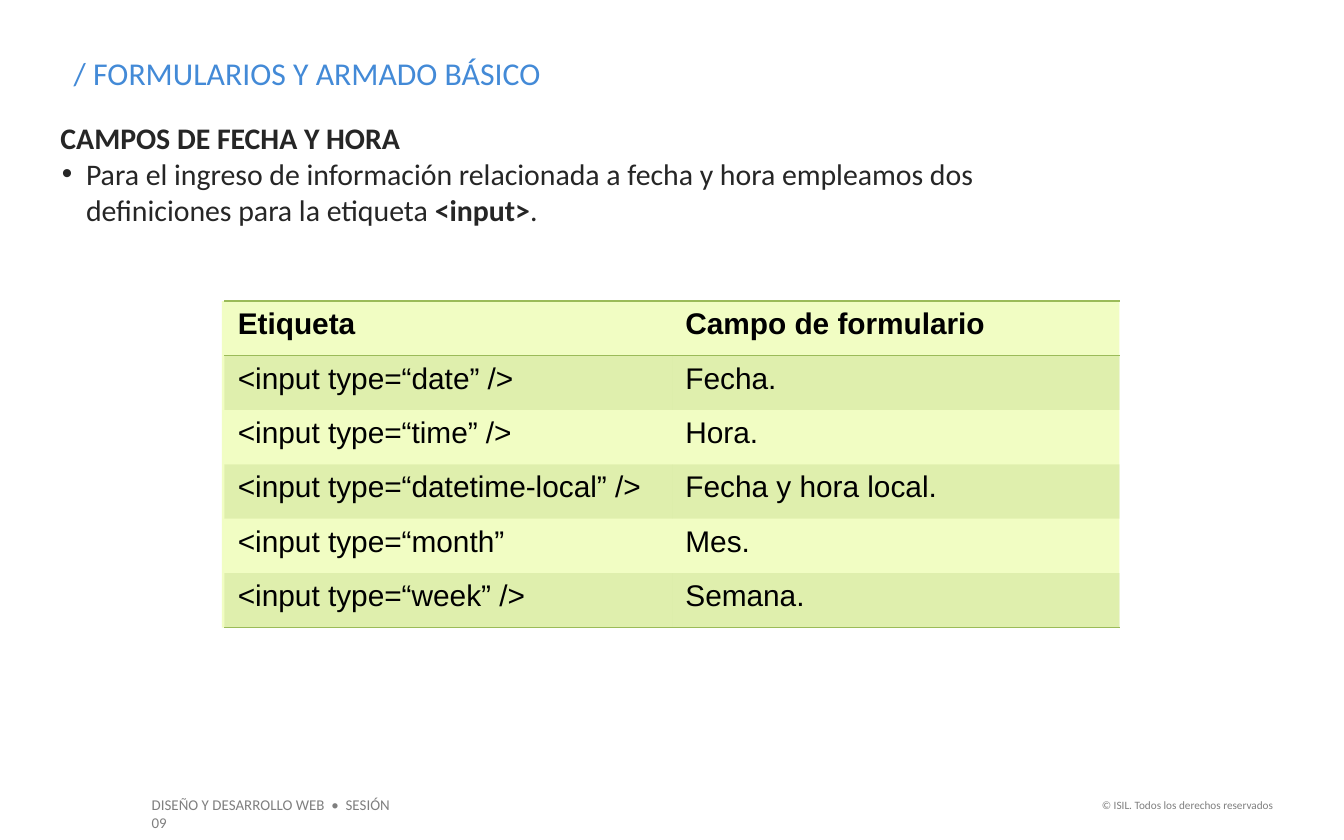
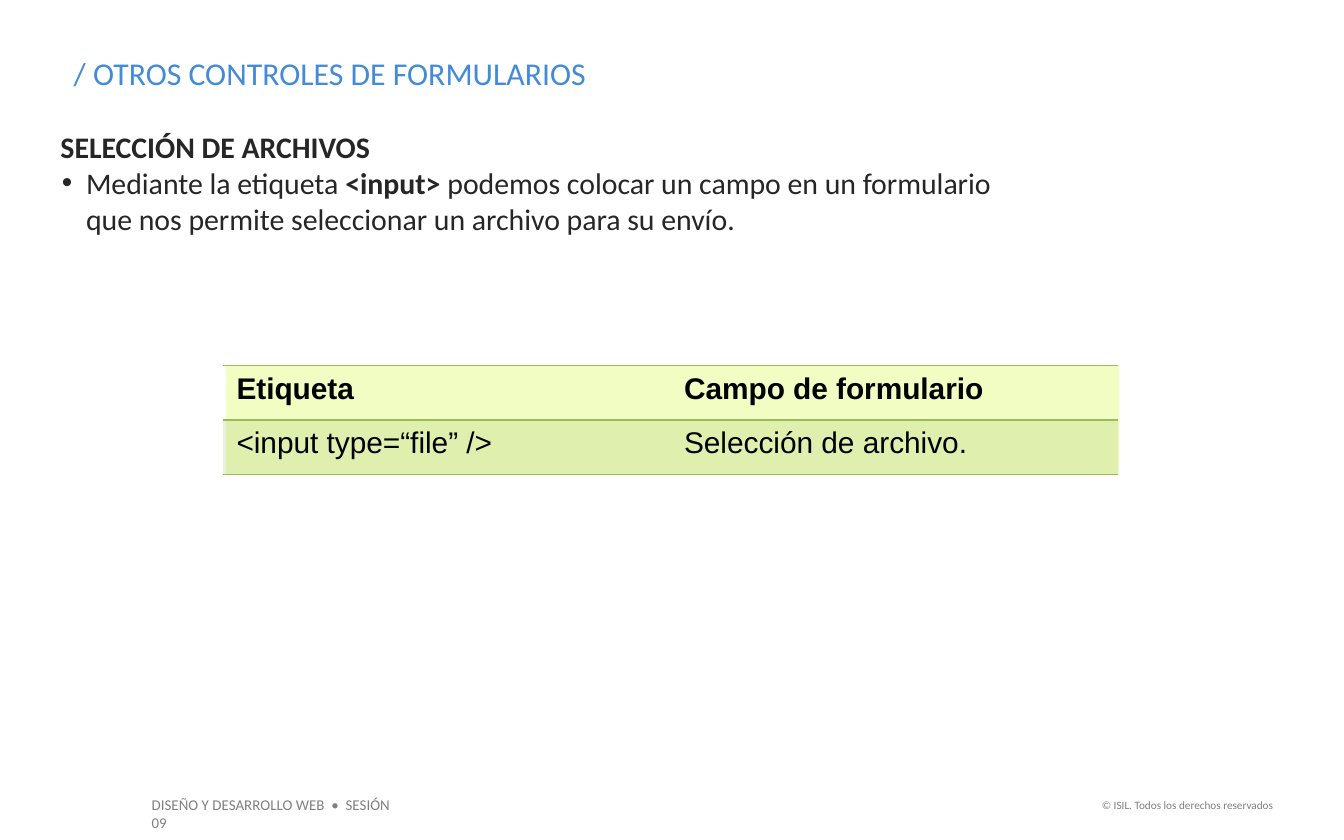
import pptx
import pptx.dml.color
import pptx.enum.shapes
import pptx.enum.text
import pptx.oxml.ns
import pptx.util
from lxml import etree

Inches = pptx.util.Inches
Pt = pptx.util.Pt
RGBColor = pptx.dml.color.RGBColor
ALIGN = pptx.enum.text.PP_ALIGN
qn = pptx.oxml.ns.qn

BLUE = RGBColor(0x43, 0x8A, 0xD7)
DARK = RGBColor(0x26, 0x26, 0x26)
GRAY = RGBColor(0x7F, 0x7F, 0x7F)
BLACK = RGBColor(0, 0, 0)
LIME = RGBColor(0xF1, 0xFD, 0xC3)
OLIVE = RGBColor(0x9B, 0xBB, 0x59)

FOOTER = "DISEÑO Y DESARROLLO WEB  •  SESIÓN 09"
COPYRIGHT = "© ISIL. Todos los derechos reservados"
HEADER = ("Etiqueta", "Campo de formulario")
COLUMN_WIDTH, ROW_HEIGHT = 3.33, 0.405
PADDING = (0.1, 0.05)

# Boxes are left, top, width, height in inches; a run is (text, bold).
SLIDES = [
    {
        "title": "/ FORMULARIOS Y ARMADO BÁSICO",
        "heading": "CAMPOS DE FECHA Y HORA",
        "bullet": [
            ("Para el ingreso de información relacionada a fecha y hora "
             "empleamos dos definiciones para la etiqueta ", False),
            ("<input>", True),
            (".", False),
        ],
        "body_box": (0.45, 0.89, 6.98, 0.81),
        "panel_box": (1.65, 2.24, 6.68, 2.43),
        "table_at": (1.67, 2.24),
        "rows": [
            ("<input type=“date” />", "Fecha."),
            ("<input type=“time” />", "Hora."),
            ("<input type=“datetime-local” />", "Fecha y hora local."),
            ("<input type=“month”", "Mes."),
            ("<input type=“week” />", "Semana."),
        ],
    },
    {
        "title": "/ OTROS CONTROLES DE FORMULARIOS",
        "heading": "SELECCIÓN DE ARCHIVOS",
        "bullet": [
            ("Mediante la etiqueta ", False),
            ("<input>", True),
            (" podemos colocar un campo en un formulario que nos permite "
             "seleccionar un archivo para su envío.", False),
        ],
        "body_box": (0.45, 0.96, 7.19, 0.81),
        "panel_box": (1.68, 2.72, 6.65, 0.81),
        "table_at": (1.66, 2.72),
        "rows": [("<input type=“file” />", "Selección de archivo.")],
    },
]


def write(paragraph, text, *, size, color, font="Calibri", bold=False, align=None):
    """Append one formatted run to the paragraph."""
    run = paragraph.add_run()
    run.text = text
    run.font.name = font
    run.font.size = Pt(size)
    run.font.bold = bold
    run.font.color.rgb = color
    if align is not None:
        paragraph.alignment = align


def add_text_frame(slide, box, padding=PADDING):
    frame = slide.shapes.add_textbox(*map(Inches, box)).text_frame
    frame.word_wrap = True
    frame.margin_left = frame.margin_right = Inches(padding[0])
    frame.margin_top = frame.margin_bottom = Inches(padding[1])
    return frame


def add_text(slide, box, text, **style):
    write(add_text_frame(slide, box).paragraphs[0], text, **style)


def add_bullet(paragraph):
    properties = paragraph._p.get_or_add_pPr()
    properties.set("marL", str(Inches(0.19)))
    properties.set("indent", str(Inches(-0.18)))
    color = etree.SubElement(properties, qn("a:buClr"))
    etree.SubElement(color, qn("a:srgbClr"), val=str(DARK))
    etree.SubElement(properties, qn("a:buFont"), typeface="Arial")
    etree.SubElement(properties, qn("a:buChar"), char="•")


def add_body(slide, content):
    frame = add_text_frame(slide, content["body_box"], padding=(0, 0))
    write(frame.paragraphs[0], content["heading"], size=16, color=DARK, bold=True)
    paragraph = frame.add_paragraph()
    add_bullet(paragraph)
    for text, bold in content["bullet"]:
        write(paragraph, text, size=16, color=DARK, bold=bold)


def add_panel(slide, box):
    panel = slide.shapes.add_shape(
        pptx.enum.shapes.MSO_SHAPE.RECTANGLE, *map(Inches, box))
    panel.shadow.inherit = False
    panel.fill.solid()
    panel.fill.fore_color.rgb = LIME
    panel.line.fill.background()


def set_borders(cell, ruled):
    """Rule the given edges (from "LRTB") and clear the others."""
    properties = cell._tc.get_or_add_tcPr()
    for edge in "LRTB":
        line = etree.SubElement(properties, qn(f"a:ln{edge}"), w=str(Pt(1)))
        if edge in ruled:
            fill = etree.SubElement(line, qn("a:solidFill"))
            etree.SubElement(fill, qn("a:srgbClr"), val=str(OLIVE))
        else:
            etree.SubElement(line, qn("a:noFill"))


def fill_band(cell):
    cell.fill.solid()
    cell.fill.fore_color.rgb = OLIVE
    color = cell._tc.tcPr.find(qn("a:solidFill")).find(qn("a:srgbClr"))
    etree.SubElement(color, qn("a:alpha"), val="20000")


def add_table(slide, position, body_rows):
    rows = [HEADER, *body_rows]
    size = (COLUMN_WIDTH * len(HEADER), ROW_HEIGHT * len(rows))
    table = slide.shapes.add_table(
        len(rows), len(HEADER), *map(Inches, position + size)).table
    table.first_row = table.horz_banding = False
    for row_index, texts in enumerate(rows):
        ruled = {0: "TB", 1: "T"}.get(row_index, "")
        if row_index == len(rows) - 1:
            ruled += "B"
        for column_index, text in enumerate(texts):
            cell = table.cell(row_index, column_index)
            set_borders(cell, ruled)
            if row_index % 2:
                fill_band(cell)
            else:
                cell.fill.background()
            write(cell.text_frame.paragraphs[0], text, size=16, color=BLACK,
                  font="Arial", bold=row_index == 0)


def add_footers(slide):
    add_text(slide, (1.03, 5.87, 2.11, 0.24), FOOTER, size=8, color=GRAY)
    add_text(slide, (8.07, 5.89, 1.5, 0.2), COPYRIGHT, size=6, color=GRAY,
             align=ALIGN.RIGHT)


def main():
    presentation = pptx.Presentation()
    presentation.slide_width = Inches(10)
    presentation.slide_height = Inches(6.25)
    for content in SLIDES:
        slide = presentation.slides.add_slide(presentation.slide_layouts[6])
        add_footers(slide)
        add_panel(slide, content["panel_box"])
        add_body(slide, content)
        add_text(slide, (0.45, 0.35, 7.88, 0.39), content["title"],
                 size=17, color=BLUE)
        add_table(slide, content["table_at"], content["rows"])
    presentation.save("out.pptx")


if __name__ == "__main__":
    main()
